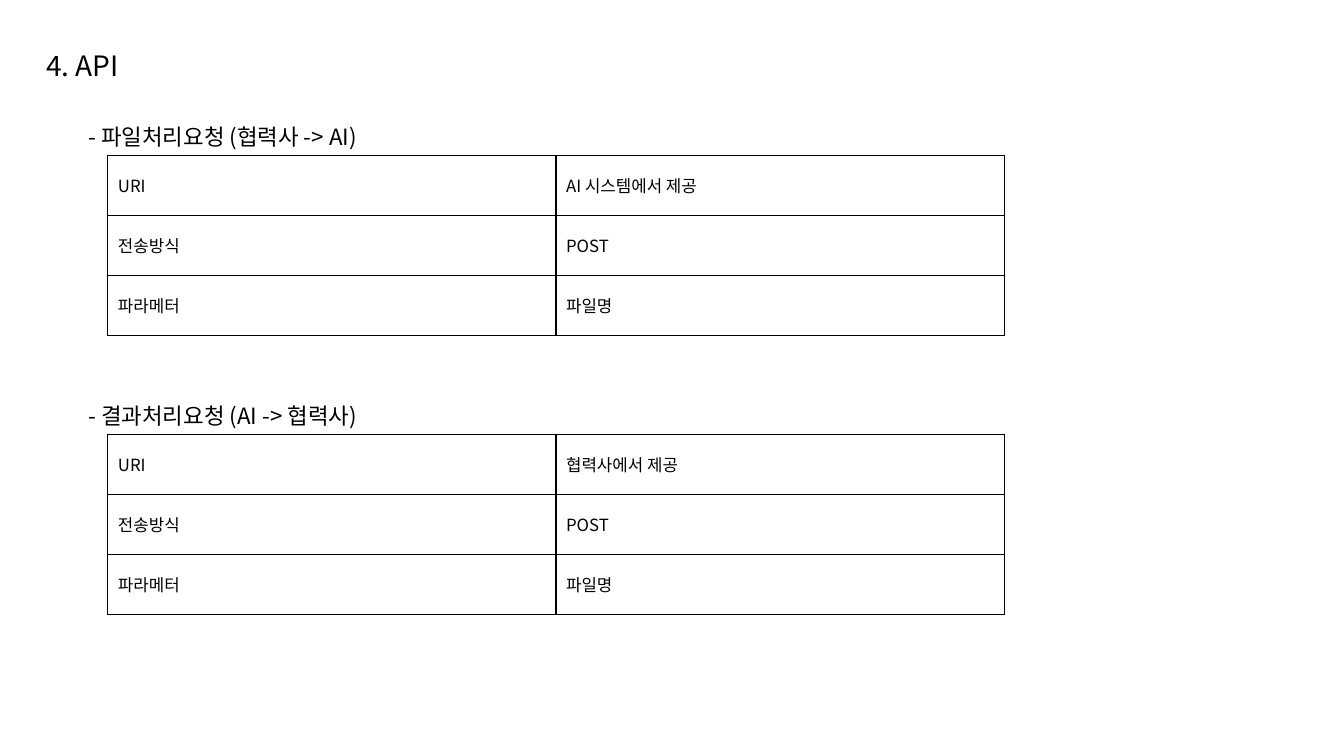
from dataclasses import dataclass

from lxml import etree
from pptx import Presentation
from pptx.dml.color import RGBColor
from pptx.enum.text import MSO_ANCHOR, MSO_AUTO_SIZE
from pptx.oxml.ns import qn
from pptx.slide import Slide
from pptx.table import _Cell
from pptx.text.text import TextFrame
from pptx.util import Inches, Pt

MIDDLE = MSO_ANCHOR.MIDDLE
GROW = MSO_AUTO_SIZE.SHAPE_TO_FIT_TEXT
FONT = "Noto Sans CJK KR"
COLORS = {"ink": "000000", "paper": "FFFFFF"}
BORDER_SIDES = ("lnL", "lnR", "lnT", "lnB")

HEADING_LEFT = 0.78
HEADING_HEIGHT = 0.37
TABLE_LEFT = 1.07
COLUMN_WIDTH = 4.445
ROW_HEIGHT = 0.595
FIRST_TOP = 1.17
REQUEST_PITCH = 2.77


@dataclass(frozen=True)
class ApiRequest:
    heading: str
    uri: str

    def rows(self) -> list[tuple[str, str]]:
        return [("URI", self.uri), ("전송방식", "POST"), ("파라메터", "파일명")]


REQUESTS = [
    ApiRequest("- 파일처리요청 (협력사 -> AI)", "AI 시스템에서 제공"),
    ApiRequest("- 결과처리요청 (AI -> 협력사)", "협력사에서 제공"),
]


def write(frame: TextFrame, text: str, size: int) -> None:
    frame.text = text
    for run in frame.paragraphs[0].runs:
        run.font.size = Pt(size)
        run.font.name = FONT
        run.font.color.rgb = RGBColor.from_string(COLORS["ink"])
        east_asian = etree.SubElement(run.font._element, qn("a:ea"))
        east_asian.set("typeface", FONT)


def add_heading(slide: Slide, text: str, left: float, top: float, height: float, size: int) -> None:
    box = slide.shapes.add_textbox(Inches(left), Inches(top), Inches(6.31), Inches(height))
    box.text_frame.word_wrap = True
    box.text_frame.auto_size = GROW
    write(box.text_frame, text, size)


def style_cell(cell: _Cell) -> None:
    cell.vertical_anchor = MIDDLE
    properties = cell._tc.get_or_add_tcPr()
    for side in BORDER_SIDES:
        line = etree.SubElement(properties, qn(f"a:{side}"), w=str(Pt(1)))
        fill = etree.SubElement(line, qn("a:solidFill"))
        etree.SubElement(fill, qn("a:srgbClr"), val=COLORS["ink"])
    cell.fill.solid()
    cell.fill.fore_color.rgb = RGBColor.from_string(COLORS["paper"])


def add_request(slide: Slide, request: ApiRequest, top: float) -> None:
    add_heading(slide, request.heading, HEADING_LEFT, top, HEADING_HEIGHT, 16)
    rows = request.rows()
    table = slide.shapes.add_table(
        len(rows), 2, Inches(TABLE_LEFT), Inches(top + HEADING_HEIGHT),
        Inches(2 * COLUMN_WIDTH), Inches(len(rows) * ROW_HEIGHT),
    ).table
    table.first_row = False
    table.horz_banding = False
    for row_index, values in enumerate(rows):
        for column_index, value in enumerate(values):
            cell = table.cell(row_index, column_index)
            write(cell.text_frame, value, 12)
            style_cell(cell)


presentation = Presentation()
presentation.slide_width = Inches(13.33)
presentation.slide_height = Inches(7.5)
api_slide = presentation.slides.add_slide(presentation.slide_layouts[6])

add_heading(api_slide, "4. API", 0.36, 0.43, 0.44, 20)
for index, api_request in enumerate(REQUESTS):
    add_request(api_slide, api_request, FIRST_TOP + index * REQUEST_PITCH)

presentation.save("out.pptx")
